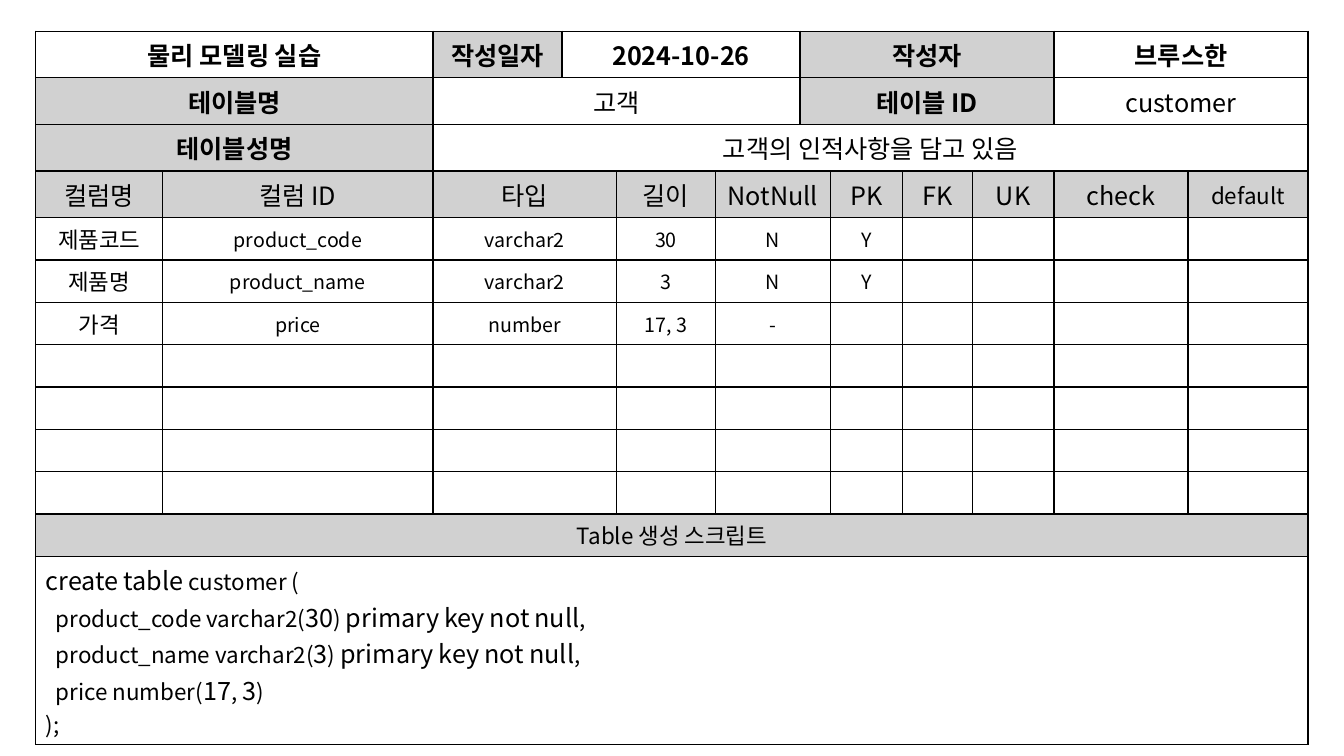
from dataclasses import dataclass

from lxml import etree
from pptx import Presentation, util as u
from pptx.dml.color import RGBColor
from pptx.enum import text
from pptx.oxml.ns import qn


@dataclass(frozen=True)
class Theme:
    font: str = "Noto Sans CJK KR"
    ink: str = "000000"
    label: str = "D1D1D1"
    paper: str = "FFFFFF"
    large: int = 18
    medium: int = 16
    small: int = 14
    border: float = 1


T = Theme()
SLIDE_W, SLIDE_H = 13.33, 7.5
COLUMNS = [1.26, 2.68, 1.28, 0.54, 0.98, 0.84, 0.3, 0.72, 0.69, 0.81, 1.33, 1.19]
HEADER_H, BODY_H, SCRIPT_H = 0.46, 0.42, 1.87

# Header cells: text, columns spanned, is a label, is bold
HEADER = [
    [("물리 모델링 실습", 2, False, True), ("작성일자", 1, True, True),
     ("2024-10-26", 3, False, True), ("작성자", 4, True, True), ("브루스한", 2, False, True)],
    [("테이블명", 2, True, True), ("고객", 4, False, False),
     ("테이블 ID", 4, True, True), ("customer", 2, False, False)],
    [("테이블성명", 2, True, True), ("고객의 인적사항을 담고 있음", 10, False, False)],
]
FIELD_SPANS = [1, 1, 2, 1, 2, 1, 1, 1, 1, 1]
FIELD_NAMES = ["컬럼명", "컬럼 ID", "타입", "길이", "NotNull", "PK", "FK", "UK", "check", "default"]
FIELDS = [
    ["제품코드", "product_code", "varchar2", "30", "N", "Y"],
    ["제품명", "product_name", "varchar2", "3", "N", "Y"],
    ["가격", "price", "number", "17, 3", "-"],
]
FIELD_ROWS = 7
SCRIPT_TITLE = "Table 생성 스크립트"
# Bars enclose the keywords and numbers set in the large size
SCRIPT = [
    "|create| |table| customer (",
    "  product_code varchar2(|30|) |primary| |key| |not| |null|,",
    "  product_name varchar2(|3|) |primary| |key| |not| |null|,",
    "  price number(|17|, |3|)",
    ");",
]


def add_run(p, words, size, bold=False):
    r = p.add_run()
    r.text = words
    r.font.size, r.font.bold, r.font.name = u.Pt(size), bold, T.font
    r.font.color.rgb = RGBColor.from_string(T.ink)
    etree.SubElement(r.font._element, qn("a:ea"), typeface=T.font)


def set_borders(cell):
    tc_pr = cell._tc.get_or_add_tcPr()
    for side in ("a:lnL", "a:lnR", "a:lnT", "a:lnB"):
        line = etree.SubElement(tc_pr, qn(side), w=str(u.Pt(T.border)))
        fill = etree.SubElement(line, qn("a:solidFill"))
        etree.SubElement(fill, qn("a:srgbClr"), val=T.ink)


def fill_cell(cell, color):
    cell.fill.solid()
    cell.fill.fore_color.rgb = RGBColor.from_string(color)


def place_cell(table, row, col, span, words="", size=T.large, label=False, bold=False):
    """Merge a cell over its span, style it and return it."""
    cell = table.cell(row, col)
    if span > 1:
        cell.merge(table.cell(row, col + span - 1))
    for c in range(col, col + span):
        fill_cell(table.cell(row, c), T.label if label else T.paper)
    cell.vertical_anchor = text.MSO_ANCHOR.MIDDLE
    if words:
        p = cell.text_frame.paragraphs[0]
        p.alignment = text.PP_ALIGN.CENTER
        add_run(p, words, size, bold)
    return cell


def place_header(table, top):
    for row, cells in enumerate(HEADER, top):
        col = 0
        for words, span, label, bold in cells:
            place_cell(table, row, col, span, words, T.large, label, bold)
            col += span


def place_fields(table, top):
    blank_rows = [[]] * (FIELD_ROWS - len(FIELDS))
    for row, values in enumerate([FIELD_NAMES] + FIELDS + blank_rows, top):
        heading = row == top
        col = 0
        for i, span in enumerate(FIELD_SPANS):
            words = values[i] if i < len(values) else ""
            if heading:
                size = T.medium if words == "default" else T.large
            else:
                size = T.medium if i == 0 else T.small
            place_cell(table, row, col, span, words, size, heading)
            col += span


def place_script(table, top):
    place_cell(table, top, 0, len(COLUMNS), SCRIPT_TITLE, T.medium, label=True)
    tf = place_cell(table, top + 1, 0, len(COLUMNS)).text_frame
    for i, line in enumerate(SCRIPT):
        p = tf.add_paragraph() if i else tf.paragraphs[0]
        for j, part in enumerate(line.split("|")):
            if part:
                add_run(p, part, T.large if j % 2 else T.medium)


def add_model_sheet(s, left, top):
    fields_top = len(HEADER)
    script_top = fields_top + 1 + FIELD_ROWS
    heights = [HEADER_H] * (fields_top + 1) + [BODY_H] * (FIELD_ROWS + 1) + [SCRIPT_H]
    frame = s.shapes.add_table(len(heights), len(COLUMNS), u.Inches(left), u.Inches(top),
                               u.Inches(sum(COLUMNS)), u.Inches(sum(heights)))
    table = frame.table
    table.first_row = table.horz_banding = False
    for column, width in zip(table.columns, COLUMNS):
        column.width = u.Inches(width)
    for row, height in zip(table.rows, heights):
        row.height = u.Inches(height)
    for cell in table.iter_cells():
        set_borders(cell)
    place_header(table, 0)
    place_fields(table, fields_top)
    place_script(table, script_top)


def main():
    prs = Presentation()
    prs.slide_width, prs.slide_height = u.Inches(SLIDE_W), u.Inches(SLIDE_H)
    s = prs.slides.add_slide(prs.slide_layouts[6])
    add_model_sheet(s, (SLIDE_W - sum(COLUMNS)) / 2, 0.31)
    prs.save("out.pptx")


if __name__ == "__main__":
    main()
